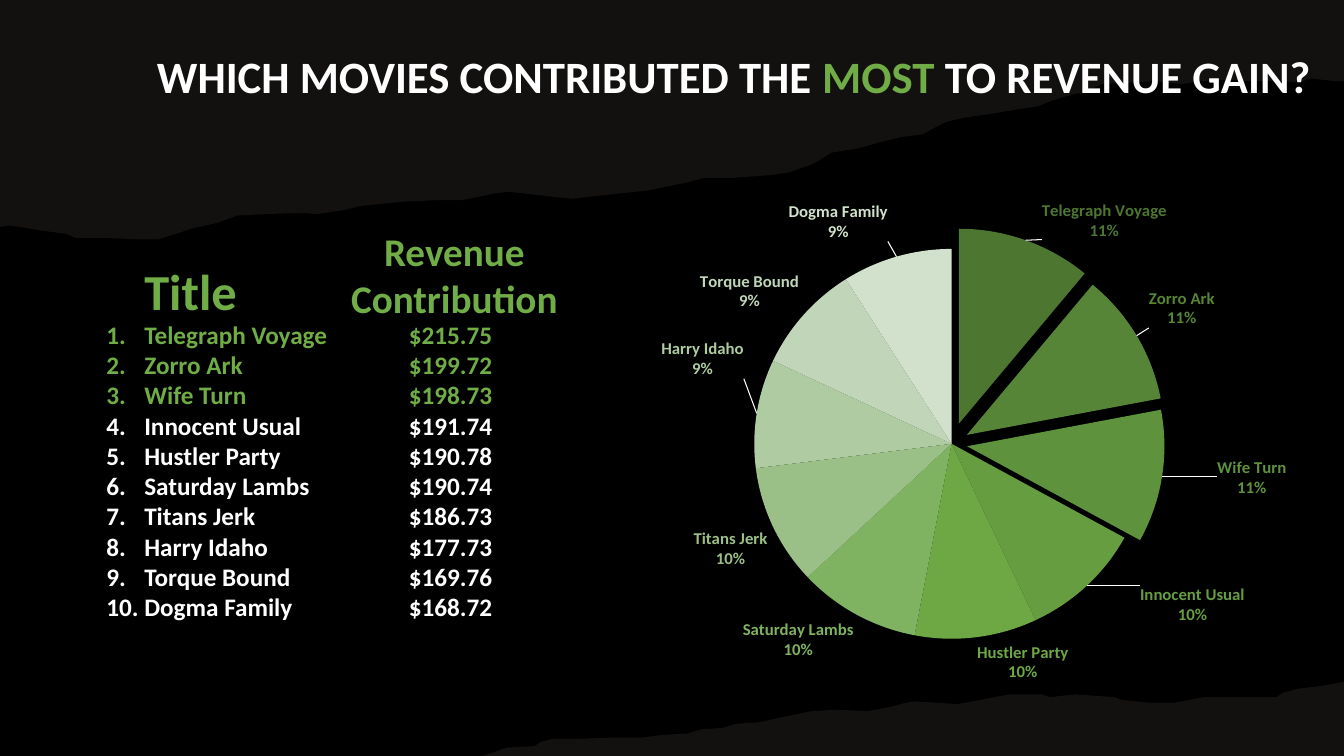
from typing import NamedTuple

from lxml import etree
from pptx import Presentation, util as u
from pptx.chart import data as cd
from pptx.dml import color
from pptx.enum import chart as ch, text
from pptx.oxml import parse_xml
from pptx.oxml.ns import nsdecls, qn

FONT = "Calibri"
GREEN, WHITE, BLACK, BROWN = "70AD47", "FFFFFF", "000000", "82766A"


class Movie(NamedTuple):
    name: str
    gain: str
    share: int
    tint: str
    burst: int = 0
    shift: tuple[float, float] | None = None


class Box(NamedTuple):
    left: float
    top: float
    width: float
    height: float


MOVIES = [
    Movie("Telegraph Voyage", "$215.75", 11, "4D7731", 11, (0.02, 0.01)),
    Movie("Zorro Ark", "$199.72", 11, "568537", 9, (0.01, -0.01)),
    Movie("Wife Turn", "$198.73", 11, "5F923C", 8, (0.07, -0.04)),
    Movie("Innocent Usual", "$191.74", 10, "669D40", 0, (0.07, -0.01)),
    Movie("Hustler Party", "$190.78", 10, "6DA845"),
    Movie("Saturday Lambs", "$190.74", 10, "7FB362"),
    Movie("Titans Jerk", "$186.73", 10, "9AC087"),
    Movie("Harry Idaho", "$177.73", 9, "AECBA1", 0, (-0.01, -0.07)),
    Movie("Torque Bound", "$169.76", 9, "C1D6B8"),
    Movie("Dogma Family", "$168.72", 9, "D1E1CB", 0, (-0.01, -0.02)),
]
TOP_THREE = 3

# Torn paper edges, each closed along the slide border
TOP_EDGE = [
    (0, 0), (960, 0), (960, 57.6), (954, 58.3), (936, 56.2), (928, 59), (917, 57.6),
    (894, 57.6), (879, 57), (857, 58.3), (845, 59.8), (824, 57.6), (807, 59), (787, 60),
    (781, 62.6), (773, 66), (764, 68.4), (751, 72), (741, 76), (727, 78.5), (710, 81),
    (689, 84), (676, 87), (666, 92), (659, 95.8), (643, 98), (627, 102), (613, 106),
    (594, 108.7), (581, 116.6), (564, 123), (551, 125), (524, 127), (503, 127),
    (492, 130), (463, 136), (444, 138), (408, 142), (389.5, 139.7), (364, 136.8),
    (354, 137.5), (330, 142.6), (310, 142.6), (289, 144), (258.5, 147), (246, 150),
    (226, 152.6), (217, 152), (187, 153.4), (169, 154), (155.5, 159), (138, 162.7),
    (113, 171.4), (101, 170.6), (76, 170), (54, 170), (47, 167), (32, 165), (7, 161),
    (0, 162),
]
LOW_EDGE = [
    (960, 540), (343.5, 540), (351, 538.5), (361.5, 533.5), (381.6, 532.8), (386, 530),
    (394, 527.8), (407.5, 528.5), (434, 527), (458, 527), (473, 525), (491, 523.5),
    (501, 521), (515.5, 520), (526, 517), (542, 515.5), (560, 512), (580, 507.6),
    (597, 507), (620, 508.3), (636, 505.4), (647, 501.8), (653, 501), (684, 502.6),
    (700, 500.4), (720.7, 496), (744.5, 496), (750, 497.5), (767.5, 496), (795.6, 498),
    (801, 500.4), (821, 502), (839, 502), (860, 498), (888.5, 497.5), (912, 497.5),
    (916, 495), (927, 492.5), (944, 490), (960, 487.4),
]


def rgb(code: str) -> color.RGBColor:
    return color.RGBColor.from_string(code)


def pts(box: Box) -> list[u.Pt]:
    return [u.Pt(side) for side in box]


def add_run(para, words: str, *, size: float, tint: str) -> None:
    run = para.add_run()
    run.text = words
    font = run.font
    font.name, font.size, font.bold = FONT, u.Pt(size), True
    font.color.rgb = rgb(tint)


def add_text(slide, box: Box, lines: list[list[tuple[str, str]]], *, size: float,
             align=None, space: float | None = None):
    """Add a text box; each line is a list of (words, colour)."""
    frame = slide.shapes.add_textbox(*pts(box)).text_frame
    frame.word_wrap = True
    frame.auto_size = text.MSO_AUTO_SIZE.SHAPE_TO_FIT_TEXT
    for i, line in enumerate(lines):
        para = frame.add_paragraph() if i else frame.paragraphs[0]
        para.alignment, para.line_spacing = align, space
        for words, tint in line:
            add_run(para, words, size=size, tint=tint)
    return frame


def add_ranks(frame, hang: float, stop: float) -> None:
    """Number the paragraphs and line up their second column."""
    for para in frame.paragraphs:
        props = para._p.get_or_add_pPr()
        props.set("marL", str(u.Pt(hang)))
        props.set("indent", str(-u.Pt(hang)))
        etree.SubElement(props, qn("a:buFont"), typeface="+mj-lt")
        etree.SubElement(props, qn("a:buAutoNum"), type="arabicPeriod")
        tabs = etree.SubElement(props, qn("a:tabLst"))
        etree.SubElement(tabs, qn("a:tab"), pos=str(u.Pt(stop)), algn="l")


def add_paper(slide, edge: list[tuple[float, float]]) -> None:
    pen = slide.shapes.build_freeform(*edge[0], scale=u.Pt(1))
    pen.add_line_segments(edge[1:], close=True)
    paper = pen.convert_to_shape()
    paper.shadow.inherit = False
    paper.line.fill.background()
    paper.fill.solid()
    paper.fill.fore_color.rgb = rgb(BROWN)
    tone = paper._element.spPr.find(".//" + qn("a:srgbClr"))
    etree.SubElement(tone, qn("a:alpha"), val="15000")


def layout(**parts: object):
    body = "".join(f'<c:{key} val="{val}"/>' for key, val in parts.items())
    return parse_xml(f'<c:layout {nsdecls("c")}><c:manualLayout>{body}'
                     "</c:manualLayout></c:layout>")


def show_share(label) -> None:
    """Make a label element show name and percentage on two lines."""
    for tag, val in (("showVal", 0), ("showCatName", 1), ("showPercent", 1)):
        label.find(qn("c:" + tag)).set("val", str(val))
    split = etree.Element(qn("c:separator"))
    split.text = "\n"
    label.find(qn("c:showBubbleSize")).addnext(split)


def style_slice(series, i: int, movie: Movie) -> None:
    point = series.points[i]
    point.format.fill.solid()
    point.format.fill.fore_color.rgb = rgb(movie.tint)
    point.format.line.fill.background()
    root = series._element
    if movie.burst:
        slot = root.findall(qn("c:dPt"))[i].find(qn("c:spPr"))
        slot.addprevious(etree.Element(qn("c:explosion"), val=str(movie.burst)))
    label = point.data_label
    font = label.font
    font.name, font.size, font.bold = FONT, u.Pt(12), True
    font.color.rgb = rgb(movie.tint)
    label.position = ch.XL_LABEL_POSITION.OUTSIDE_END
    item = root.find(qn("c:dLbls")).findall(qn("c:dLbl"))[i]
    show_share(item)
    if movie.shift:
        x, y = movie.shift
        item.find(qn("c:idx")).addnext(layout(x=x, y=y))


def add_pie(slide, box: Box) -> None:
    data = cd.CategoryChartData()
    data.categories = [movie.name for movie in MOVIES]
    data.add_series("Series 1", [movie.share for movie in MOVIES])
    pie = slide.shapes.add_chart(ch.XL_CHART_TYPE.PIE, *pts(box), data).chart
    pie.has_legend = pie.has_title = False
    pie.font.name, pie.font.size = FONT, u.Pt(10)
    pie.font.color.rgb = rgb(WHITE)
    area = pie._chartSpace.chart.plotArea
    for old in area.findall(qn("c:layout")):
        area.remove(old)
    area.insert(0, layout(layoutTarget="inner", xMode="edge", yMode="edge",
                          x=0.08, y=0.1, w=0.83, h=0.81))
    series = pie.plots[0].series[0]
    labels = series.data_labels
    labels.position = ch.XL_LABEL_POSITION.OUTSIDE_END
    for i, movie in enumerate(MOVIES):
        style_slice(series, i, movie)
    root = series._element.find(qn("c:dLbls"))
    show_share(root)
    for old in root.findall(qn("c:showLeaderLines")):
        root.remove(old)
    etree.SubElement(root, qn("c:showLeaderLines"), val="1")
    root.append(parse_xml(
        f'<c:leaderLines {nsdecls("c", "a")}><c:spPr><a:ln w="9525"><a:solidFill>'
        f'<a:srgbClr val="{WHITE}"/></a:solidFill></a:ln></c:spPr></c:leaderLines>'))


def main() -> None:
    deck = Presentation()
    deck.slide_width, deck.slide_height = u.Pt(960), u.Pt(540)
    slide = deck.slides.add_slide(deck.slide_layouts[6])
    slide.background.fill.solid()
    slide.background.fill.fore_color.rgb = rgb(BLACK)
    for edge in (TOP_EDGE, LOW_EDGE):
        add_paper(slide, edge)
    add_pie(slide, Box(430.5, 139.5, 503.5, 348))
    rows = [[(f"{movie.name}\t{movie.gain}", GREEN if i < TOP_THREE else WHITE)]
            for i, movie in enumerate(MOVIES)]
    add_ranks(add_text(slide, Box(69, 224.5, 335, 225.5), rows, size=18), 27, 216)
    add_text(slide, Box(96, 160.5, 107, 73), [[("Title", GREEN)]], size=36, space=1.5)
    add_text(slide, Box(208, 158.5, 233, 75), [[("Revenue Contribution", GREEN)]],
             size=28, align=text.PP_ALIGN.CENTER)
    add_text(slide, Box(105, 31.5, 855, 46),
             [[("WHICH MOVIES CONTRIBUTED THE ", WHITE), ("MOST", GREEN),
               (" TO REVENUE GAIN?", WHITE)]], size=32)
    deck.save("out.pptx")


if __name__ == "__main__":
    main()
